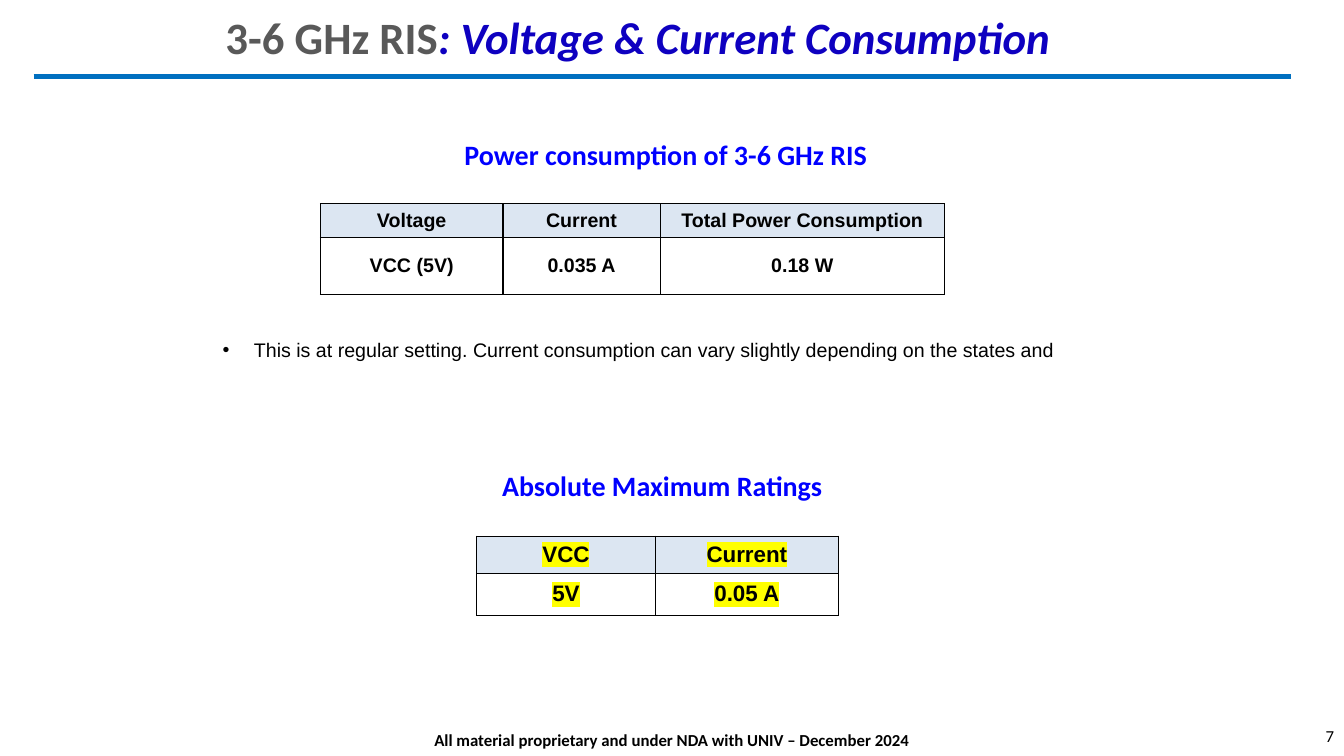
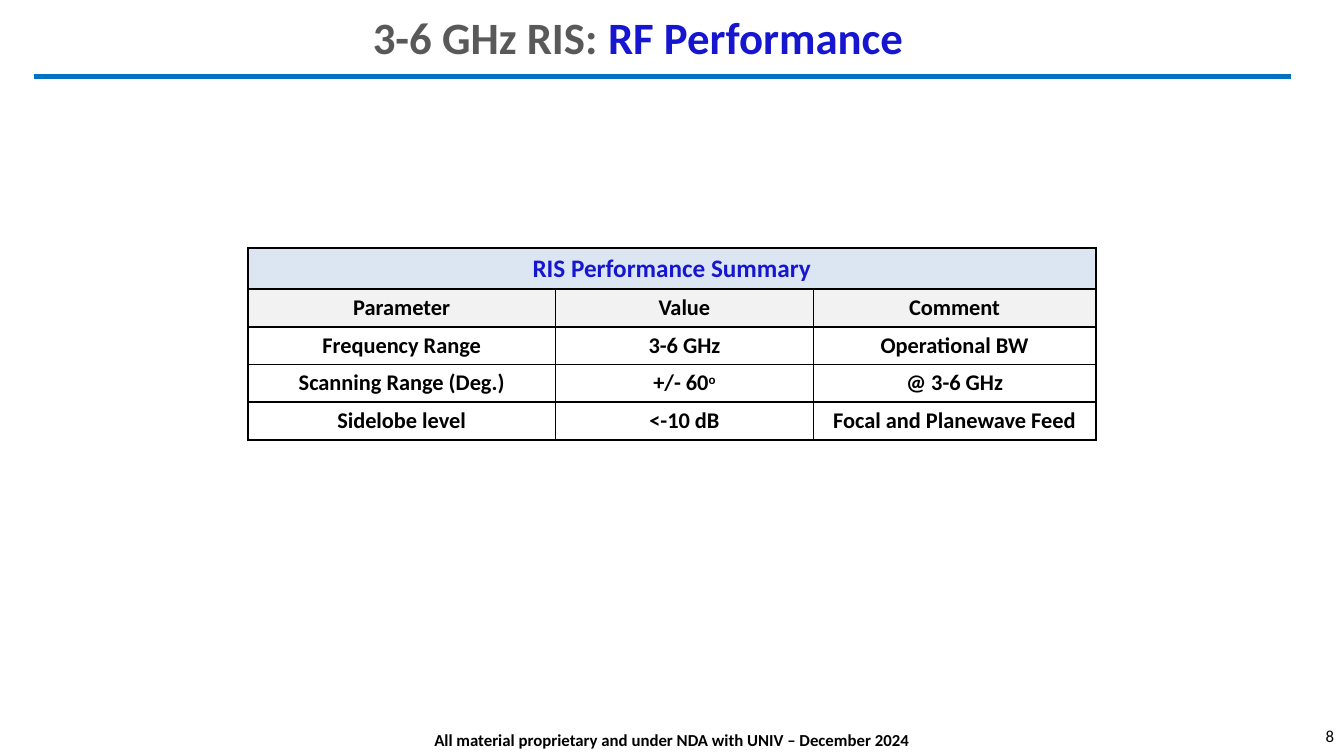
from dataclasses import dataclass, replace

from lxml.etree import SubElement
from pptx import Presentation
from pptx.dml.color import RGBColor
from pptx.enum.shapes import MSO_CONNECTOR
from pptx.enum.text import MSO_ANCHOR as Anchor, PP_ALIGN as Align
from pptx.oxml.ns import qn
from pptx.util import Inches, Pt


@dataclass(frozen=True)
class Style:
    size: float
    font: str = "Calibri"
    colour: str = "000000"
    bold: bool = True
    italic: bool = False
    highlight: str = ""
    raised: bool = False


class Theme:
    rule = "0070C0"
    border = "000000"
    header = "DCE6F2"
    subheader = "F2F2F2"
    body = "FFFFFF"
    title = Style(32, colour="595959")
    title_voltage = replace(title, colour="0E00C0", italic=True)
    title_rf = replace(title, colour="1616D0")
    heading = Style(20, colour="0000FF")
    footer = Style(12)
    number = Style(12, bold=False)
    note = Style(14, font="Arial", bold=False)
    power = Style(14, font="Arial")
    rating = Style(16, font="Arial", highlight="FFFF00")
    summary = Style(16)
    summary_title = Style(18, colour="1616D0")
    degree = replace(summary, raised=True)


deck = Presentation()
deck.slide_width, deck.slide_height = Inches(13.33), Inches(7.5)
COL, ROW = deck.slide_width / 400, deck.slide_height / 225


def write(frame, pieces, align=Align.CENTER):
    paragraph = frame.paragraphs[0]
    paragraph.alignment = align
    for words, style in pieces:
        run = paragraph.add_run()
        run.text = words
        run.font.size = Pt(style.size)
        run.font.bold, run.font.italic = style.bold, style.italic
        run.font.color.rgb = RGBColor.from_string(style.colour)
        properties = run._r.get_or_add_rPr()
        if style.highlight:
            marker = SubElement(properties, qn("a:highlight"))
            SubElement(marker, qn("a:srgbClr"), val=style.highlight)
        run.font.name = style.font
        if style.raised:
            properties.set("baseline", "30000")
    return paragraph


def draw_table(slide, left, top, widths, heights, rows, style, fills, border):
    table = slide.shapes.add_table(
        len(heights), len(widths), int(left * COL), int(top * ROW),
        int(sum(widths) * COL), int(sum(heights) * ROW)).table
    for column, width in zip(table.columns, widths):
        column.width = int(width * COL)
    for r, (height, values, fill) in enumerate(zip(heights, rows, fills)):
        table.rows[r].height = int(height * ROW)
        for c in range(len(widths)):
            cell = table.cell(r, c)
            cell.vertical_anchor = Anchor.MIDDLE
            for side in ("lnL", "lnR", "lnT", "lnB"):
                edge = SubElement(cell._tc.get_or_add_tcPr(), qn(f"a:{side}"), w=str(Pt(border)))
                paint = SubElement(edge, qn("a:solidFill"))
                SubElement(paint, qn("a:srgbClr"), val=Theme.border)
            cell.fill.solid()
            cell.fill.fore_color.rgb = RGBColor.from_string(fill)
            if c < len(values):
                value = values[c]
                write(cell.text_frame, [(value, style)] if isinstance(value, str) else value)
        if len(values) == 1:
            table.cell(r, 0).merge(table.cell(r, len(widths) - 1))


titles = [
    [("3-6 GHz RIS", Theme.title), (": Voltage & Current Consumption", Theme.title_voltage)],
    [("3-6 GHz RIS: ", Theme.title), ("RF Performance", Theme.title_rf)],
]
footer = "All material proprietary and under NDA with UNIV – December 2024"

for page, title in enumerate(titles, start=7):
    slide = deck.slides.add_slide(deck.slide_layouts[6])
    rule = slide.shapes.add_connector(
        MSO_CONNECTOR.STRAIGHT, int(10 * COL), int(22.8 * ROW), int(384.3 * COL), int(22.8 * ROW))
    rule.line.color.rgb = RGBColor.from_string(Theme.rule)
    rule.line.width = Pt(3)
    SubElement(rule._element.spPr, qn("a:effectLst"))
    for left, top, width, height, pieces, align, anchor in (
        (0, 215.7, 400, 9, [(footer, Theme.footer)], Align.CENTER, Anchor.TOP),
        (330, 213, 70, 12, [(str(page), Theme.number)], Align.RIGHT, Anchor.MIDDLE),
        (22.5, 1.5, 334.8, 16, title, Align.CENTER, Anchor.TOP),
    ):
        frame = slide.shapes.add_textbox(
            int(left * COL), int(top * ROW), int(width * COL), int(height * ROW)).text_frame
        frame.word_wrap = True
        frame.vertical_anchor = anchor
        write(frame, pieces, align)

voltage, performance = deck.slides

for left, top, width, heading in (
    (75.3, 39.3, 245.7, "Power consumption of 3-6 GHz RIS"),
    (141.9, 138, 110.4, "Absolute Maximum Ratings"),
):
    frame = voltage.shapes.add_textbox(
        int(left * COL), int(top * ROW), int(width * COL), int(11.3 * ROW)).text_frame
    frame.word_wrap = True
    write(frame, [(heading, Theme.heading)])

draw_table(
    voltage, 95.4, 60.6, [54.3, 46.8, 84.6], [9.9, 17.1],
    [["Voltage", "Current", "Total Power Consumption"], ["VCC (5V)", "0.035 A", "0.18 W"]],
    Theme.power, [Theme.header, Theme.body], 1)

note = voltage.shapes.add_textbox(
    int(63.3 * COL), int(99 * ROW), int(269.4 * COL), int(39 * ROW)).text_frame
note.word_wrap = True
remark = write(note, [(
    "This is at regular setting. Current consumption can vary slightly depending on the states and",
    Theme.note)], Align.LEFT)
layout = remark._p.get_or_add_pPr()
layout.set("marL", str(Inches(0.31)))
layout.set("indent", str(-Inches(0.31)))
SubElement(layout, qn("a:buFont"), typeface="Arial")
SubElement(layout, qn("a:buChar"), char="•")

draw_table(
    voltage, 141.9, 159.6, [53.1, 54.6], [11, 12.5],
    [["VCC", "Current"], ["5V", "0.05 A"]],
    Theme.rating, [Theme.header, Theme.body], 1)

draw_table(
    performance, 73.8, 73.8, [91.5, 76.8, 84], [12.3] + [11.2] * 4,
    [
        [[("RIS Performance Summary", Theme.summary_title)]],
        ["Parameter", "Value", "Comment"],
        ["Frequency Range", "3-6 GHz", "Operational BW"],
        ["Scanning Range (Deg.)", [("+/- 60", Theme.summary), ("o", Theme.degree)], "@ 3-6 GHz"],
        ["Sidelobe level", "<-10 dB", "Focal and Planewave Feed"],
    ],
    Theme.summary, [Theme.header, Theme.subheader] + [Theme.body] * 3, 1.5)

deck.save("out.pptx")
